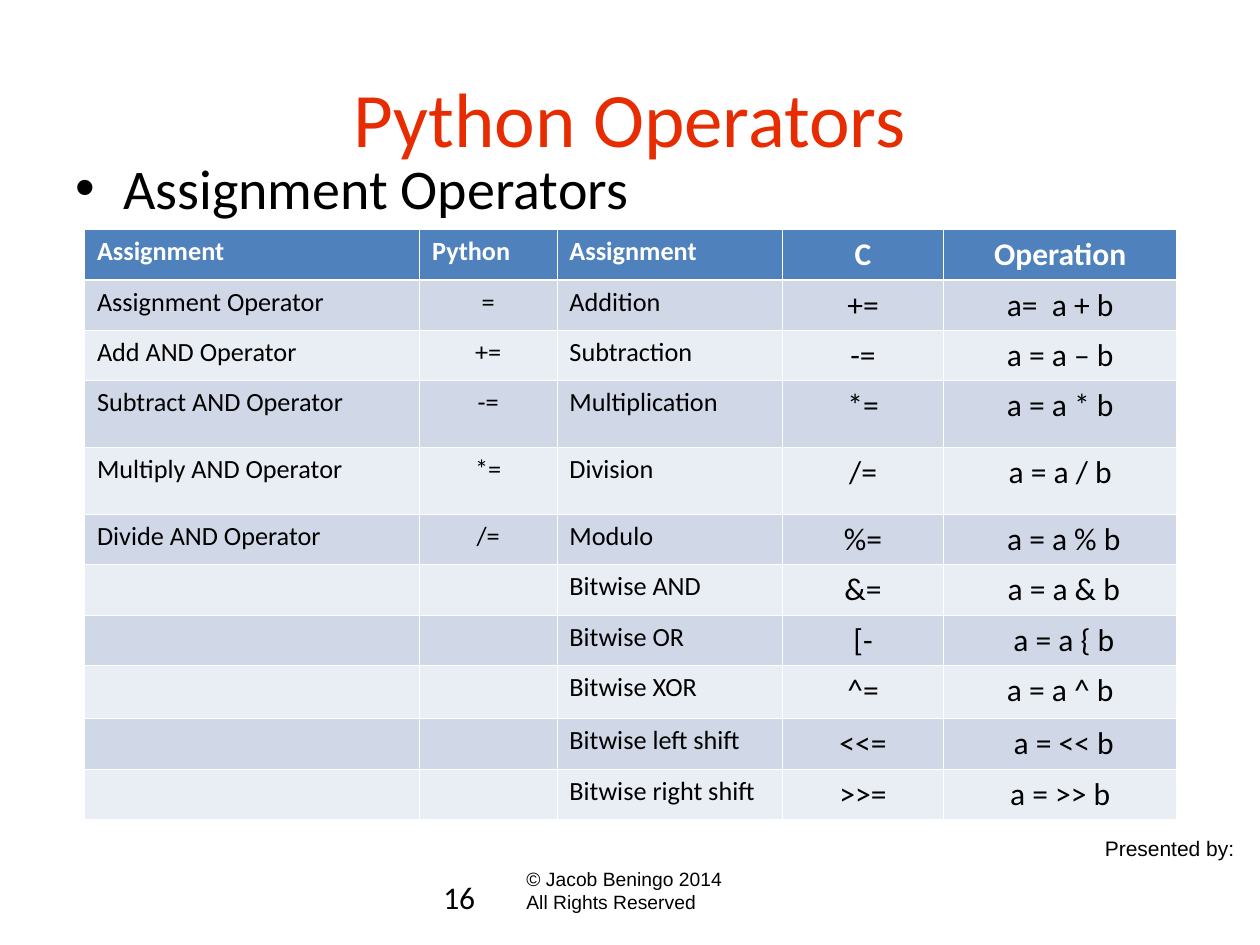
from dataclasses import dataclass

from lxml.etree import SubElement
from pptx import Presentation
from pptx.dml.color import RGBColor
from pptx.enum.text import MSO_ANCHOR as Anchor, PP_ALIGN as Align
from pptx.oxml.ns import qn
from pptx.util import Inches, Pt

COLORS = {
    "title": "E62C00",
    "text": "000000",
    "white": "FFFFFF",
    "header": "4F81BD",
    "odd_row": "D0D8E8",
    "even_row": "E9EDF4",
}
THIN, THICK = 0.45, 1.47


@dataclass
class Label:
    lines: list[str]
    box: tuple[float, float, float, float]
    size: float
    font: str = "Calibri"
    color: str = "text"
    align: Align = Align.LEFT
    anchor: Anchor = Anchor.TOP
    bullet: bool = False


@dataclass
class Column:
    width: float
    size: float
    header_align: Align
    body_align: Align


LABELS = [
    Label(["Presented by:"], (8.67, 6.58, 1.25, 0.3), 12, "Arial"),
    Label(["© Jacob Beningo 2014", "All Rights Reserved"],
          (4.08, 6.83, 1.83, 0.65), 11, "Arial"),
    Label(["Python Operators"], (0.5, 0.3, 9, 1.25), 44, color="title",
          align=Align.CENTER, anchor=Anchor.MIDDLE),
    Label(["Assignment Operators"], (0.5, 1.17, 9, 4.95), 32, bullet=True),
    Label(["16"], (3.42, 6.92, 2.33, 0.4), 18),
]
COLUMNS = [
    Column(2.66, 15, Align.LEFT, Align.LEFT),
    Column(1.09, 15, Align.LEFT, Align.CENTER),
    Column(1.79, 15, Align.LEFT, Align.LEFT),
    Column(1.28, 18, Align.CENTER, Align.CENTER),
    Column(1.85, 18, Align.CENTER, Align.CENTER),
]
ROW_HEIGHTS = [0.4] * 3 + [0.53] * 2 + [0.4] * 3 + [0.42] + [0.4] * 2
OPERATORS = [
    ("Assignment", "Python", "Assignment", "C", "Operation"),
    ("Assignment Operator", "=", "Addition", "+=", "a=  a + b"),
    ("Add AND Operator", "+=", "Subtraction", "-=", "a = a – b"),
    ("Subtract AND Operator", "-=", "Multiplication", "*=", "a = a * b"),
    ("Multiply AND Operator", "*=", "Division", "/=", "a = a / b"),
    ("Divide AND Operator", "/=", "Modulo", "%=", " a = a % b"),
    ("", "", "Bitwise AND", "&=", " a = a & b"),
    ("", "", "Bitwise OR", "[-", " a = a { b"),
    ("", "", "Bitwise XOR", "^=", "a = a ^ b"),
    ("", "", "Bitwise left shift", "<<=", " a = << b"),
    ("", "", "Bitwise right shift", ">>=", "a = >> b"),
]


def add_run(paragraph, text: str, size: float, font: str, color: str,
            bold: bool = False) -> None:
    run = paragraph.add_run()
    run.text = text
    run.font.size = Pt(size)
    run.font.name = font
    run.font.bold = bold
    run.font.color.rgb = RGBColor.from_string(COLORS[color])


def add_bullet(paragraph) -> None:
    properties = paragraph._p.get_or_add_pPr()
    properties.set("marL", str(Inches(0.38)))
    properties.set("indent", str(Inches(-0.38)))
    SubElement(properties, qn("a:buFont"), typeface="Arial")
    SubElement(properties, qn("a:buChar"), char="•")


def add_label(slide, label: Label) -> None:
    frame = slide.shapes.add_textbox(*map(Inches, label.box)).text_frame
    frame.word_wrap = True
    frame.vertical_anchor = label.anchor
    for index, line in enumerate(label.lines):
        paragraph = frame.add_paragraph() if index else frame.paragraphs[0]
        paragraph.alignment = label.align
        if label.bullet:
            add_bullet(paragraph)
        add_run(paragraph, line, label.size, label.font, label.color)


def add_borders(cell, top: float, bottom: float) -> None:
    properties = cell._tc.get_or_add_tcPr()
    for side, width in (("L", THIN), ("R", THIN), ("T", top), ("B", bottom)):
        line = SubElement(properties, qn(f"a:ln{side}"), w=str(Pt(width)))
        fill = SubElement(line, qn("a:solidFill"))
        SubElement(fill, qn("a:srgbClr"), val=COLORS["white"])


def add_operator_table(slide) -> None:
    table = slide.shapes.add_table(
        len(OPERATORS), len(COLUMNS), Inches(0.67), Inches(1.82),
        Inches(sum(column.width for column in COLUMNS)),
        Inches(sum(ROW_HEIGHTS))).table
    for index, column in enumerate(COLUMNS):
        table.columns[index].width = Inches(column.width)
    for row, (height, texts) in enumerate(zip(ROW_HEIGHTS, OPERATORS)):
        table.rows[row].height = Inches(height)
        is_header = row == 0
        band = "header" if is_header else "odd_row" if row % 2 else "even_row"
        for index, (column, text) in enumerate(zip(COLUMNS, texts)):
            cell = table.cell(row, index)
            add_borders(cell, THICK if row == 1 else THIN,
                        THICK if is_header else THIN)
            cell.fill.solid()
            cell.fill.fore_color.rgb = RGBColor.from_string(COLORS[band])
            if text:
                paragraph = cell.text_frame.paragraphs[0]
                paragraph.alignment = (column.header_align if is_header
                                       else column.body_align)
                add_run(paragraph, text, column.size, "Calibri",
                        "white" if is_header else "text", is_header)


def main() -> None:
    deck = Presentation()
    deck.slide_width, deck.slide_height = Inches(10), Inches(7.5)
    slide = deck.slides.add_slide(deck.slide_layouts[6])

    # Title, subtitle and footer texts
    for label in LABELS:
        add_label(slide, label)

    # Comparison of Python and C operators
    add_operator_table(slide)

    deck.save("out.pptx")


if __name__ == "__main__":
    main()
